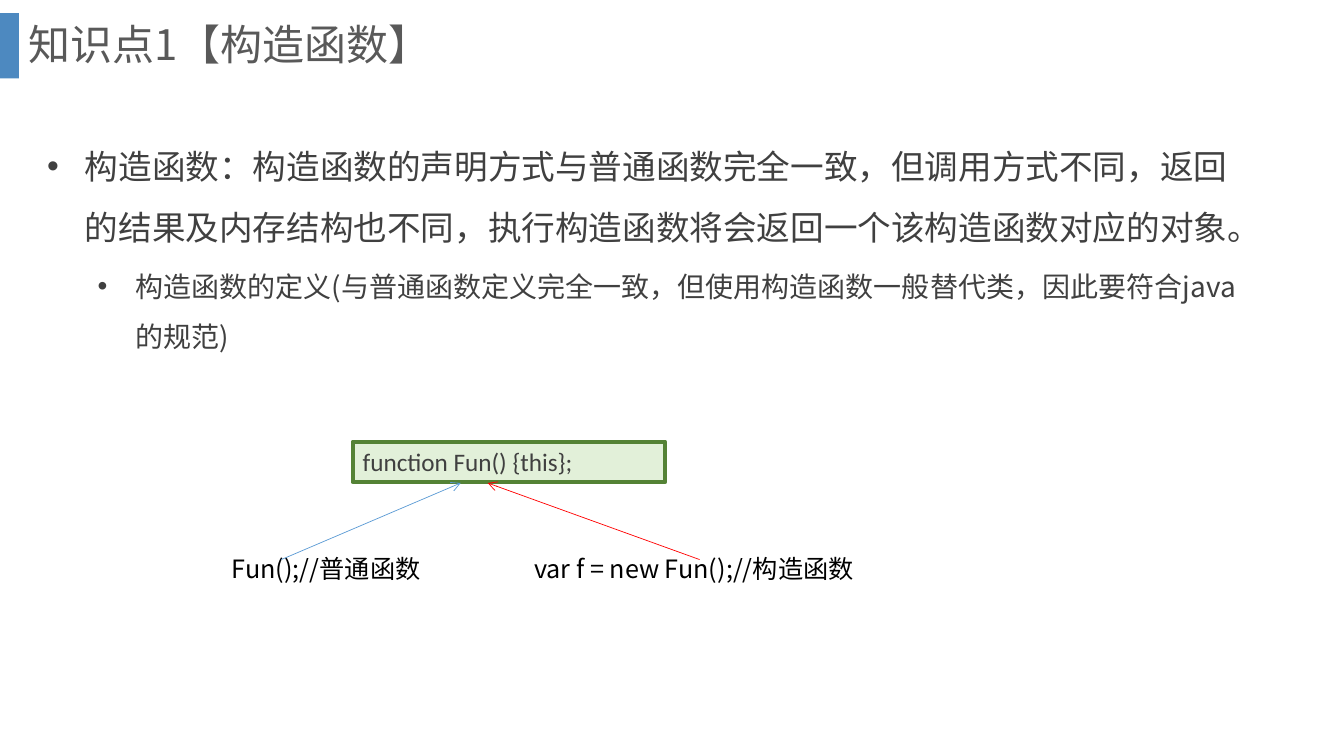
from lxml import etree
from pptx import Presentation
from pptx.dml.color import RGBColor
from pptx.enum.shapes import MSO_CONNECTOR, MSO_SHAPE
from pptx.enum.text import MSO_ANCHOR, MSO_AUTO_SIZE
from pptx.oxml.ns import qn
from pptx.util import Cm, Pt

CJK, LATIN = "Noto Sans CJK SC", "Calibri"
BAR_BLUE = RGBColor(0x2E, 0x75, 0xB6)
ARROW_BLUE = RGBColor(0x5B, 0x9B, 0xD5)
RED = RGBColor(0xFF, 0x00, 0x00)
PALE_GREEN = RGBColor(0xE2, 0xF0, 0xD9)
GREEN = RGBColor(0x54, 0x82, 0x35)
TITLE_GREY = RGBColor(0x59, 0x59, 0x59)
TEXT_GREY = RGBColor(0x40, 0x40, 0x40)
BLACK = RGBColor(0x00, 0x00, 0x00)


def add_run(p, text, size, color, font=CJK):
    r = p.add_run()
    r.text = text
    for name, value in {"size": Pt(size), "name": font}.items():
        setattr(r.font, name, value)
    r.font.color.rgb = color
    etree.SubElement(r.font._element, qn("a:ea"), typeface=CJK)


def add_text(s, box, **frame_format):
    tf = s.shapes.add_textbox(*map(Cm, box)).text_frame
    for name, value in {"word_wrap": True, **frame_format}.items():
        setattr(tf, name, value)
    return tf


def add_rect(s, box, fill):
    sp = s.shapes.add_shape(MSO_SHAPE.RECTANGLE, *map(Cm, box))
    sp.shadow.inherit = False
    sp.fill.solid()
    sp.fill.fore_color.rgb = fill
    sp.line.fill.background()
    return sp


def add_bullet(p, text, size, left, before):
    for name, value in {"line_spacing": 1.5, "space_before": Pt(before)}.items():
        setattr(p, name, value)
    pPr = p._p.get_or_add_pPr()
    pPr.set("marL", str(Cm(left)))
    pPr.set("indent", str(-Cm(0.95)))
    etree.SubElement(pPr, qn("a:buFont"), typeface="Arial")
    etree.SubElement(pPr, qn("a:buChar"), char="•")
    add_run(p, text, size, TEXT_GREY)


def add_tab_stops(p, *stops):
    tabs = etree.SubElement(p._p.get_or_add_pPr(), qn("a:tabLst"))
    for stop in stops:
        etree.SubElement(tabs, qn("a:tab"), pos=str(Cm(stop)), algn="l")


def add_arrow(s, start, end, color):
    cxn = s.shapes.add_connector(MSO_CONNECTOR.STRAIGHT, *map(Cm, start + end))
    cxn.line.color.rgb = color
    cxn.line.width = Pt(0.5)
    etree.SubElement(cxn.line._get_or_add_ln(), qn("a:tailEnd"), type="arrow")
    etree.SubElement(cxn._element.spPr, qn("a:effectLst"))


def main():
    prs = Presentation()
    prs.slide_width, prs.slide_height = Cm(33.87), Cm(19.05)
    s = prs.slides.add_slide(prs.slide_layouts[6])

    # Title with its accent bar
    bar = add_rect(s, (0, 0.33, 0.48, 1.65), BAR_BLUE)
    bar_color = bar._element.spPr.find(qn("a:solidFill"))[0]
    etree.SubElement(bar_color, qn("a:alpha"), val="85000")
    tf = add_text(s, (0.48, 0, 32.16, 2.36), vertical_anchor=MSO_ANCHOR.MIDDLE)
    p = tf.paragraphs[0]
    p.line_spacing = 0.9
    add_run(p, "知识点1【构造函数】", 30, TITLE_GREY)

    # Explanation
    tf = add_text(s, (0.94, 3.05, 30.61, 13.87))
    add_bullet(tf.paragraphs[0],
               "构造函数：构造函数的声明方式与普通函数完全一致，但调用方式不同，"
               "返回的结果及内存结构也不同，执行构造函数将会返回一个该构造函数对应的对象。",
               24, 0.95, 0)
    p = tf.add_paragraph()
    p.level = 1
    add_bullet(p,
               "构造函数的定义(与普通函数定义完全一致，但使用构造函数一般替代类，"
               "因此要符合java的规范)",
               20, 2.22, 4)

    # Function definition
    code = add_rect(s, (8.89, 11.13, 7.87, 1.02), PALE_GREEN)
    code.line.color.rgb = GREEN
    code.line.width = Pt(3)
    tf = code.text_frame
    for name, value in {"word_wrap": True, "vertical_anchor": MSO_ANCHOR.TOP,
                        "auto_size": MSO_AUTO_SIZE.SHAPE_TO_FIT_TEXT}.items():
        setattr(tf, name, value)
    p = tf.paragraphs[0]
    p.alignment = 1
    add_run(p, "function Fun() {this};", 18, TEXT_GREY, LATIN)

    # The two ways of calling it
    tf = add_text(s, (5.59, 13.82, 16.71, 1.02), word_wrap=False,
                  auto_size=MSO_AUTO_SIZE.SHAPE_TO_FIT_TEXT)
    p = tf.paragraphs[0]
    add_tab_stops(p, 5.08, 7.62)
    add_run(p, "Fun();//普通函数\t\tvar f = new Fun();//构造函数", 18, BLACK)
    add_arrow(s, (7.09, 14.1), (11.61, 12.17), ARROW_BLUE)
    add_arrow(s, (17.63, 14.1), (12.29, 12.17), RED)

    prs.save("out.pptx")


if __name__ == "__main__":
    main()
